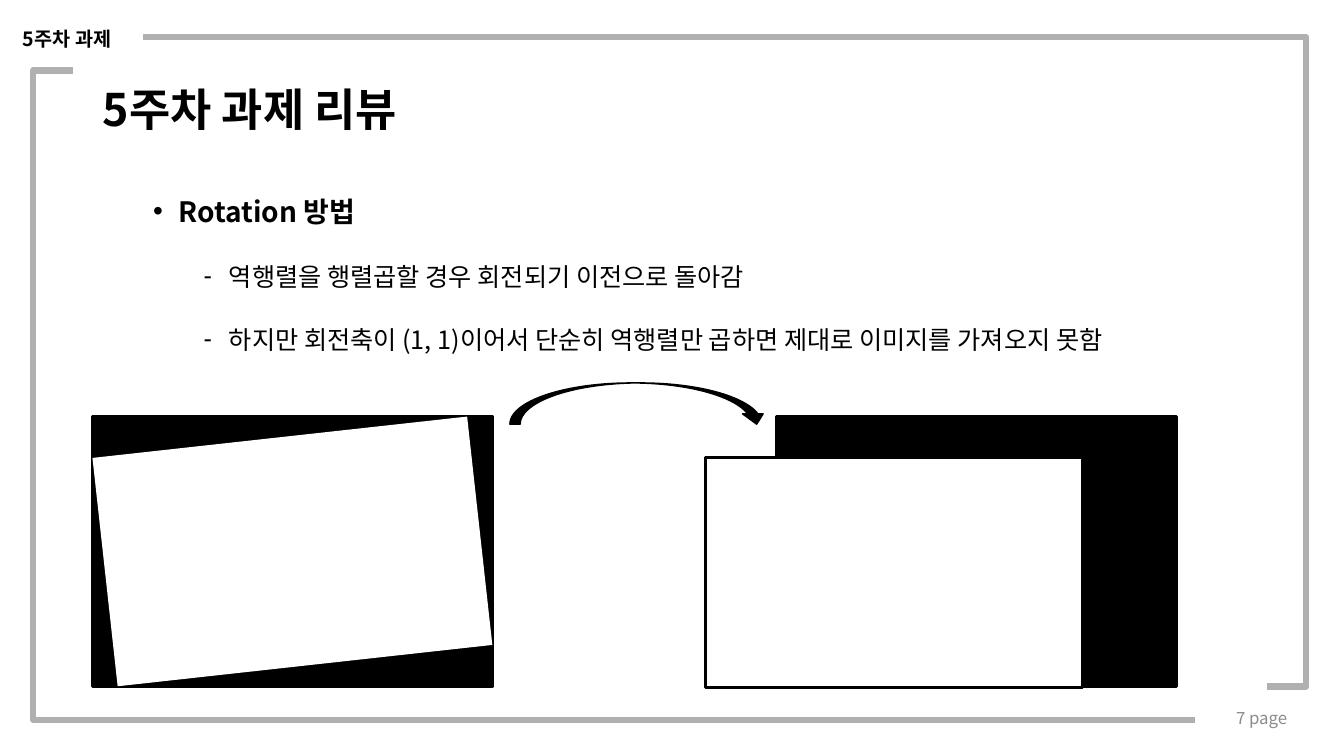
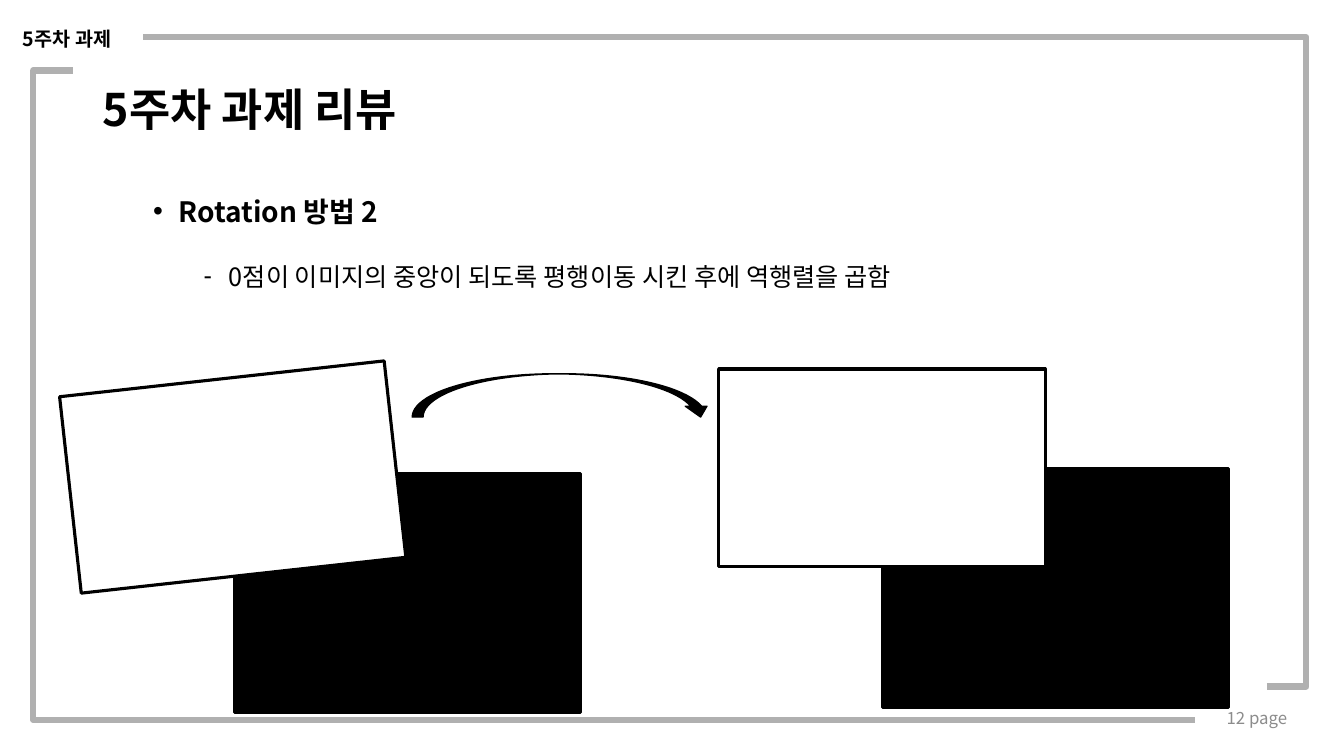
from dataclasses import dataclass

from lxml.etree import SubElement as Sub
from pptx import Presentation
from pptx.dml.color import RGBColor as RGB
from pptx.enum.shapes import MSO_CONNECTOR as Conn, MSO_SHAPE as Form
from pptx.enum.text import MSO_ANCHOR as Anchor, PP_ALIGN as Align
from pptx.oxml.ns import qn
from pptx.util import Cm, Pt


@dataclass(frozen=True)
class Theme:
    font: str = "Noto Sans CJK KR"
    ink: RGB = RGB(0, 0, 0)
    paper: RGB = RGB(255, 255, 255)
    rule: RGB = RGB(0xB0, 0xB0, 0xB0)
    mute: RGB = RGB(0x8C, 0x8C, 0x8C)
    title: Pt = Pt(32)
    head: Pt = Pt(20)
    text: Pt = Pt(18)
    tag: Pt = Pt(14)
    page: Pt = Pt(12)
    band: Pt = Pt(4.5)
    edge: Pt = Pt(2.25)
    thin: Pt = Pt(1)


T = Theme()
TILT = -6.3

# Format values of each text role
TITLE = {"font": {"size": T.title, "bold": True}, "para": {"line_spacing": 0.9}}
TAG = {"font": {"size": T.tag, "bold": True}}
PAGE = {"font": {"size": T.page}, "para": {"alignment": Align.RIGHT}, "ink": T.mute}
HEAD = {"font": {"size": T.head, "bold": True}, "para": {"line_spacing": 0.8},
        "mark": ("•", Cm(1.91))}
ITEM = {"font": {"size": T.text, "bold": False},
        "para": {"line_spacing": 0.8, "space_before": Pt(28)},
        "mark": ("-", Cm(3.18))}


def apply(item, vals):
    for name, val in vals.items():
        setattr(item, name, val)


def lens(*nums):
    return [Cm(num) for num in nums]


# Text
def bullet(para, char, left):
    props = para._p.get_or_add_pPr()
    props.set("marL", str(left))
    props.set("indent", str(-Cm(0.64)))
    Sub(props, qn("a:buFont")).set("typeface", "Arial")
    Sub(props, qn("a:buChar")).set("char", char)


def write(para, text, style):
    apply(para, style.get("para", {}))
    run = para.add_run()
    run.text = text
    apply(run.font, {"name": T.font, **style["font"]})
    run.font.color.rgb = style.get("ink", T.ink)
    Sub(run.font._element, qn("a:ea")).set("typeface", T.font)
    if "mark" in style:
        bullet(para, *style["mark"])


def label(slide, area, lines, anchor=Anchor.TOP, wrap=True):
    frame = slide.shapes.add_textbox(*lens(*area)).text_frame
    apply(frame, {"word_wrap": wrap, "vertical_anchor": anchor})
    for num, (text, style) in enumerate(lines):
        para = frame.add_paragraph() if num else frame.paragraphs[0]
        write(para, text, style)


# Shapes
def solid(slide, area, fill, form=Form.RECTANGLE, line=T.edge, tilt=0):
    shape = slide.shapes.add_shape(form, *lens(*area))
    apply(shape, {"rotation": tilt})
    shape.shadow.inherit = False
    shape.fill.solid()
    shape.fill.fore_color.rgb = fill
    if line:
        shape.line.color.rgb = T.ink
        shape.line.width = line
    else:
        shape.line.fill.background()


def arrow(slide, area):
    solid(slide, area, T.ink, Form.CURVED_DOWN_ARROW, T.thin)


def bracket(slide, ends):
    link = slide.shapes.add_connector(Conn.ELBOW, *lens(*ends))
    link.line.color.rgb = T.rule
    link.line.width = T.band
    props = link._element.spPr
    Sub(props, qn("a:effectLst"))
    # The bend lies just outside the two ends
    guide = Sub(props.find(qn("a:prstGeom")).get_or_add_avLst(), qn("a:gd"))
    guide.set("name", "adj1")
    guide.set("fmla", "val -3500")


# Parts that every slide shares
def base(deck, page, head, items):
    slide = deck.slides.add_slide(deck.slide_layouts[6])
    label(slide, (2.34, 4.93, 29.21, 12.78),
          [(head, HEAD)] + [(item, ITEM) for item in items])
    label(slide, (25.07, 17.58, 7.62, 1.02), [(f"{page} page", PAGE)], Anchor.MIDDLE)
    label(slide, (2.34, 1.57, 29.21, 2.49), [("5주차 과제 리뷰", TITLE)], Anchor.MIDDLE)
    for ends in ((1.83, 1.78, 30.12, 18.14), (31.93, 17.3, 3.61, 0.94)):
        bracket(slide, ends)
    label(slide, (0.33, 0.56, 2.97, 0.86), [("5주차 과제", TAG)], wrap=False)
    return slide


def direct(deck):
    slide = base(deck, 7, "Rotation 방법", [
        "역행렬을 행렬곱할 경우 회전되기 이전으로 돌아감",
        "하지만 회전축이 (1, 1)이어서 단순히 역행렬만 곱하면 제대로 이미지를 가져오지 못함",
    ])
    back, front = (10.06, 6.81), (9.5, 5.79)
    solid(slide, (19.58, 10.49, *back), T.ink)
    solid(slide, (17.78, 11.53, *front), T.paper)
    solid(slide, (2.34, 10.49, *back), T.ink)
    solid(slide, (2.62, 11, *front), T.paper, line=None, tilt=TILT)
    arrow(slide, (12.85, 9.65, 6.48, 1.04))


def centred(deck):
    slide = base(deck, 12, "Rotation 방법 2", [
        "0점이 이미지의 중앙이 되도록 평행이동 시킨 후에 역행렬을 곱함",
    ])
    back, front = (8.71, 6.02), (8.23, 4.98)
    solid(slide, (5.92, 11.94, *back), T.ink)
    solid(slide, (1.75, 9.53, *front), T.paper, tilt=TILT)
    arrow(slide, (10.39, 9.42, 7.54, 1.09))
    solid(slide, (22.25, 11.81, *back), T.ink)
    solid(slide, (18.11, 9.3, *front), T.paper)


def main():
    deck = Presentation()
    apply(deck, {"slide_width": Cm(33.87), "slide_height": Cm(19.05)})
    direct(deck)
    centred(deck)
    deck.save("out.pptx")


if __name__ == "__main__":
    main()
